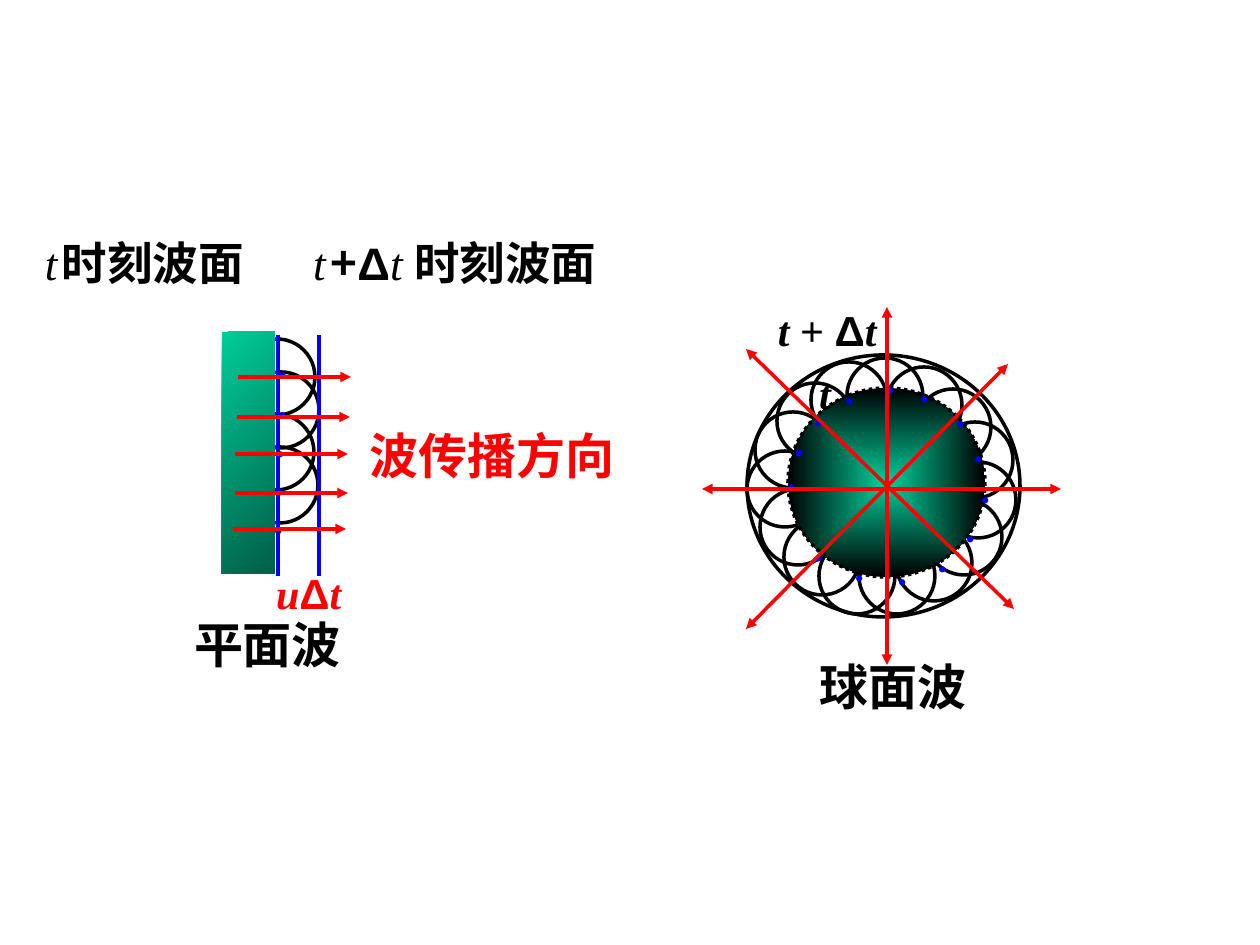
from dataclasses import dataclass

from lxml.etree import SubElement
from pptx import Presentation
from pptx.dml.color import RGBColor
from pptx.enum.dml import MSO_LINE
from pptx.enum.shapes import MSO_CONNECTOR, MSO_SHAPE
from pptx.enum.text import PP_ALIGN
from pptx.oxml.ns import qn
from pptx.util import Emu, Pt

EMU_PER_PX = 914400 / 126
BLACK = RGBColor(0x00, 0x00, 0x00)
RED = RGBColor(0xFF, 0x00, 0x00)
BLUE = RGBColor(0x00, 0x00, 0xFF)
GREEN = RGBColor(0x00, 0xCC, 0x99)
DARK_GREEN = RGBColor(0x00, 0x5E, 0x47)
SERIF, SANS, CJK = "Times New Roman", "Arial", "Noto Sans CJK SC"
WAVELET_SIZE = 76


@dataclass(frozen=True)
class Run:
    text: str
    size: int
    font: str = SERIF
    bold: bool = True
    italic: bool = False
    color: RGBColor = BLACK


@dataclass(frozen=True)
class Label:
    left: int
    top: int
    width: int
    height: int
    runs: tuple[Run, ...]


@dataclass(frozen=True)
class Ray:
    x1: int
    y1: int
    x2: int
    y2: int
    color: RGBColor = RED
    head: bool = False
    tail: bool = False


def px(length: int) -> Emu:
    return Emu(round(length * EMU_PER_PX))


def add_label(slide, label: Label) -> None:
    box = slide.shapes.add_textbox(px(label.left), px(label.top), px(label.width), px(label.height))
    frame = box.text_frame
    frame.word_wrap = True
    frame.margin_left = frame.margin_right = frame.margin_top = frame.margin_bottom = px(1)
    paragraph = frame.paragraphs[0]
    paragraph.alignment = PP_ALIGN.JUSTIFY
    for part in label.runs:
        run = paragraph.add_run()
        run.text = part.text
        font = run.font
        font.size, font.name = Pt(part.size), part.font
        font.bold, font.italic = part.bold, part.italic
        font.color.rgb = part.color
        if any("\u4e00" <= letter <= "\u9fff" for letter in part.text):
            SubElement(run._r.get_or_add_rPr(), qn("a:ea"), typeface=CJK)


def add_source_point(slide, left: int, top: int, size: int = 22) -> None:
    add_label(slide, Label(left, top, 32, 40, (Run("·", size, color=BLUE),)))


def add_body(slide, kind: MSO_SHAPE, left: int, top: int, width: int, height: int):
    body = slide.shapes.add_shape(kind, px(left), px(top), px(width), px(height))
    body.shadow.inherit = False
    return body


def add_circle(slide, left: int, top: int, width: int = WAVELET_SIZE, height: int = WAVELET_SIZE):
    circle = add_body(slide, MSO_SHAPE.OVAL, left, top, width, height)
    circle.fill.background()
    circle.line.color.rgb = BLACK
    circle.line.width = Pt(2)
    return circle


def fill_gradient(body, start: RGBColor, end: RGBColor) -> None:
    body.fill.gradient()
    for stop, color, position in zip(body.fill.gradient_stops, (start, end), (0, 1)):
        stop.color.rgb = color
        stop.position = position


def add_ray(slide, ray: Ray) -> None:
    line = slide.shapes.add_connector(
        MSO_CONNECTOR.STRAIGHT, px(ray.x1), px(ray.y1), px(ray.x2), px(ray.y2))
    line.line.color.rgb = ray.color
    line.line.width = Pt(2)
    outline = line.line._get_or_add_ln()
    for tag, wanted in (("a:headEnd", ray.head), ("a:tailEnd", ray.tail)):
        if wanted:
            SubElement(outline, qn(tag), type="triangle")
    SubElement(line._element.spPr, qn("a:effectLst"))


def draw_plane_wave(slide) -> None:
    for left, top in ((242, 447), (238, 414), (243, 372), (239, 339)):
        add_circle(slide, left, top)
    for x in (319, 278):
        add_ray(slide, Ray(x, 335, x, 576, BLUE))
    medium = add_body(slide, MSO_SHAPE.RECTANGLE, 222, 332, 53, 242)
    fill_gradient(medium, GREEN, DARK_GREEN)
    medium.fill.gradient_angle = 315
    medium.line.fill.background()
    for left, top in ((275, 349), (275, 389), (273, 428), (273, 466), (271, 505)):
        add_source_point(slide, left, top)
    for x, y in ((238, 377), (237, 417), (235, 454), (235, 493), (233, 529)):
        add_ray(slide, Ray(x, y, x + 113, y, tail=True))


def draw_spherical_wave(slide) -> None:
    wavelets = (
        (847, 358), (755, 412), (777, 383), (915, 389), (886, 367),
        (811, 362), (747, 451), (760, 489), (926, 499), (819, 538),
        (784, 519), (896, 525), (937, 422), (940, 462), (859, 538))
    for left, top in wavelets:
        add_circle(slide, left, top)
    add_circle(slide, 747, 355, 273, 262)
    wavefront = add_circle(slide, 788, 388, 197, 189)
    fill_gradient(wavefront, GREEN, BLACK)
    gradient = wavefront._element.spPr.find(qn("a:gradFill"))
    gradient.remove(gradient.find(qn("a:lin")))
    center = SubElement(gradient, qn("a:path"), path="rect")
    SubElement(center, qn("a:fillToRect"), l="50000", t="50000", r="50000", b="50000")
    wavefront.line.dash_style = MSO_LINE.ROUND_DOT

    add_source_point(slide, 791, 425, 24)
    points = (
        (811, 397), (784, 461), (811, 532), (852, 552), (895, 556), (935, 543), (963, 513),
        (978, 474), (971, 433), (953, 398), (917, 373), (883, 364), (842, 375))
    for left, top in points:
        add_source_point(slide, left, top)
    for ends in ((702, 489, 1061, 489), (746, 629, 1008, 364),
                 (746, 349, 1014, 609), (887, 307, 887, 665)):
        add_ray(slide, Ray(*ends, head=True, tail=True))


LABELS = (
    Label(44, 234, 217, 53, (
        Run("t", 26, bold=False, italic=True), Run(" ", 11, CJK, italic=True),
        Run("时刻波面", 26, CJK))),
    Label(312, 234, 336, 53, (
        Run("t", 26, bold=False, italic=True), Run(" ", 11, bold=False, italic=True),
        Run("+", 26, CJK), Run("Δ", 26, SANS), Run("t ", 26, bold=False, italic=True),
        Run("时刻波面", 26, CJK))),
    Label(193, 614, 198, 47, (Run("平面波", 28),)),
    Label(275, 566, 107, 55, (
        Run("u", 24, italic=True, color=RED), Run("Δ", 24, SANS, color=RED),
        Run("t", 24, italic=True, color=RED))),
    Label(369, 425, 314, 53, (Run("波传播方向", 28, color=RED),)),
    Label(819, 656, 284, 78, (Run("球面波", 28),)),
    Label(818, 367, 44, 33, (Run("t", 24, italic=True),)),
    Label(777, 304, 107, 35, (
        Run("t", 24, italic=True), Run(" + ", 24), Run("Δ", 24, SANS),
        Run("t", 24, italic=True))),
)


def main() -> None:
    presentation = Presentation()
    presentation.slide_width, presentation.slide_height = px(1260), px(945)
    slide = presentation.slides.add_slide(presentation.slide_layouts[6])
    draw_plane_wave(slide)
    draw_spherical_wave(slide)
    for label in LABELS:
        add_label(slide, label)
    presentation.save("out.pptx")


if __name__ == "__main__":
    main()
